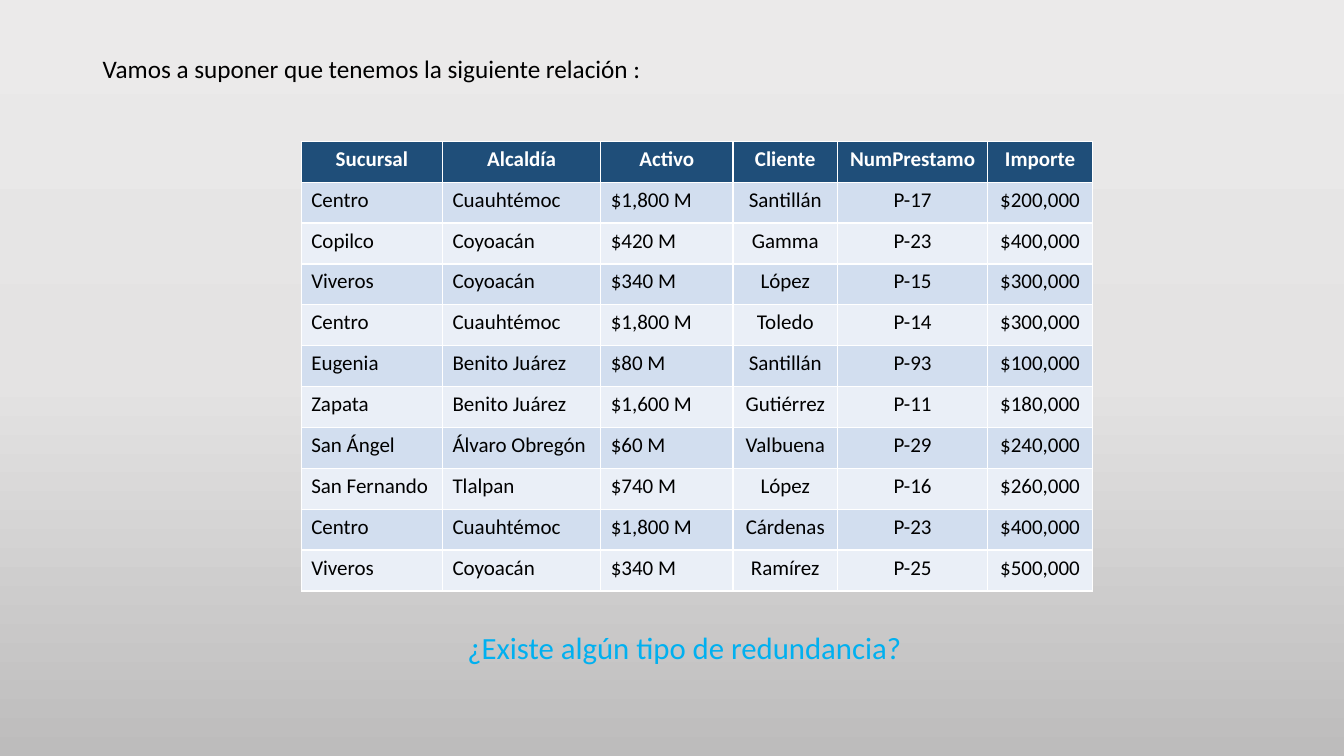
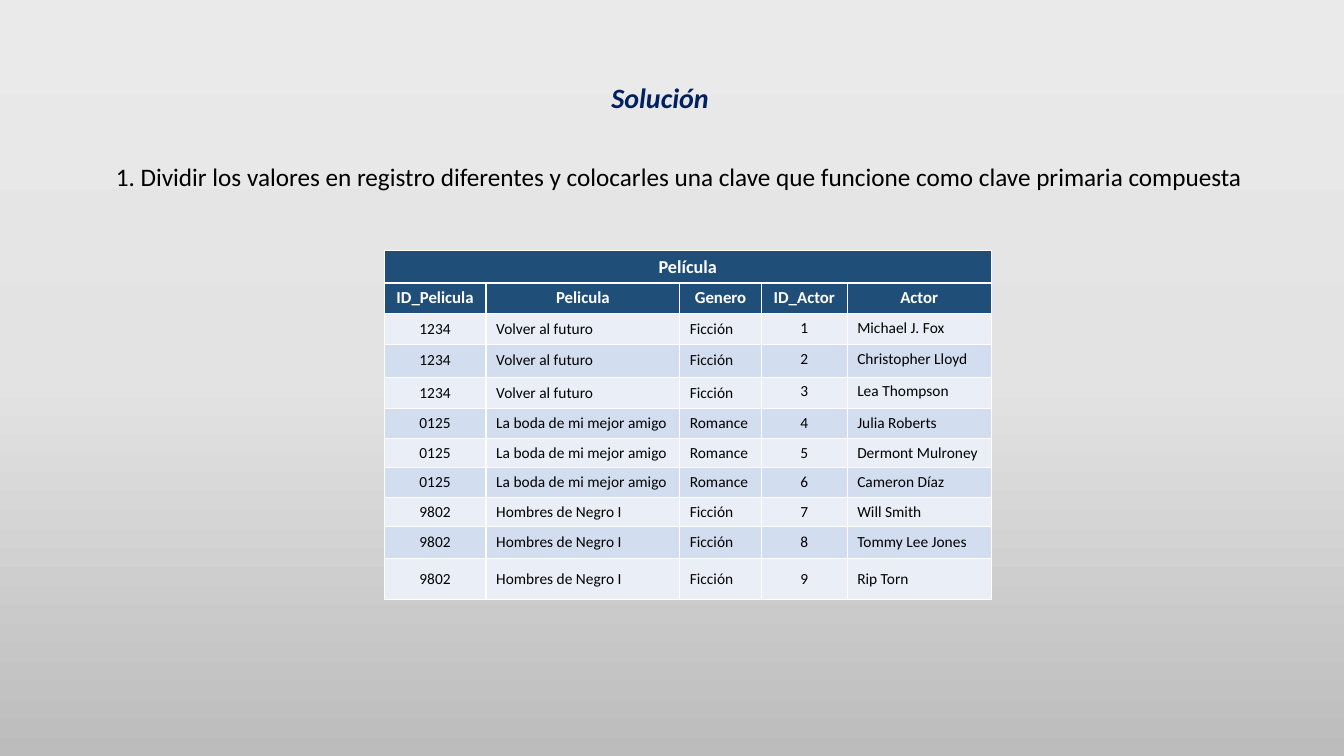
"""Build two slides on redundancy in relational tables."""
from copy import deepcopy

from pptx import Presentation
from pptx.dml.color import RGBColor
from pptx.enum import text as t
from pptx.util import Cm, Pt

FONT = "Calibri"
HEX = {"head": "1F4E79", "dark": "D2DEEF", "light": "EAEFF7", "white": "FFFFFF",
       "black": "000000", "navy": "002060", "sky": "00B0F0"}
GREYS = [(0, "EBEAEA"), (0.5, "E4E3E3"), (1, "BDBCBC")]
LEFT, MID = t.PP_ALIGN.LEFT, t.PP_ALIGN.CENTER
TOP, HALF = t.MSO_ANCHOR.TOP, t.MSO_ANCHOR.MIDDLE

INTRO = "Vamos a suponer que tenemos la siguiente relación :"
ASK = "¿Existe algún tipo de redundancia?"
TITLE = "Solución"
STEP = ("1. Dividir los valores en registro diferentes y colocarles una clave "
        "que funcione como clave primaria compuesta")

LOANS = {
    "at": (7.59, 3.56), "cols": [3.56, 3.99, 3.33, 2.64, 3.78, 2.64],
    "rows": [1.03] * 11, "sizes": [15] * 11, "heads": 1,
    "aligns": [LEFT, LEFT, LEFT, MID, MID, MID],
    "data": [
        ("Sucursal", "Alcaldía", "Activo", "Cliente", "NumPrestamo", "Importe"),
        ("Centro", "Cuauhtémoc", "$1,800 M", "Santillán", "P-17", "$200,000"),
        ("Copilco", "Coyoacán", "$420 M", "Gamma", "P-23", "$400,000"),
        ("Viveros", "Coyoacán", "$340 M", "López", "P-15", "$300,000"),
        ("Centro", "Cuauhtémoc", "$1,800 M", "Toledo", "P-14", "$300,000"),
        ("Eugenia", "Benito Juárez", "$80 M", "Santillán", "P-93", "$100,000"),
        ("Zapata", "Benito Juárez", "$1,600 M", "Gutiérrez", "P-11", "$180,000"),
        ("San Ángel", "Álvaro Obregón", "$60 M", "Valbuena", "P-29", "$240,000"),
        ("San Fernando", "Tlalpan", "$740 M", "López", "P-16", "$260,000"),
        ("Centro", "Cuauhtémoc", "$1,800 M", "Cárdenas", "P-23", "$400,000"),
        ("Viveros", "Coyoacán", "$340 M", "Ramírez", "P-25", "$500,000"),
    ],
}

FILMS = [
    ("1234", "Volver al futuro", "Ficción",
     ["Michael J. Fox", "Christopher Lloyd", "Lea Thompson"]),
    ("0125", "La boda de mi mejor amigo", "Romance",
     ["Julia Roberts", "Dermont Mulroney", "Cameron Díaz"]),
    ("9802", "Hombres de Negro I", "Ficción",
     ["Will Smith", "Tommy Lee Jones", "Rip Torn"]),
]
CAST = [(key, film, kind, name) for key, film, kind, names in FILMS for name in names]
ROLES = {
    "at": (9.68, 6.32), "cols": [2.57, 4.88, 2.06, 2.16, 3.63],
    "rows": [0.81, 0.76, 0.78, 0.83, 0.8, 0.74, 0.74, 0.75, 0.74, 0.8, 1.04],
    "sizes": [13, 12] + [11] * 9, "heads": 2,
    "aligns": [MID, LEFT, LEFT, MID, LEFT],
    "anchors": {(r, c): HALF for r in range(2, 11) for c in range(5) if c < 3 or r > 4},
    "data": [("Película",), ("ID_Pelicula", "Pelicula", "Genero", "ID_Actor", "Actor")]
    + [(key, film, kind, str(n), name)
       for n, (key, film, kind, name) in enumerate(CAST, 1)],
}


def shade(name):
    return RGBColor.from_string(HEX[name])


def write(frame, words, size, color, align=LEFT, **style):
    frame.text = words
    para = frame.paragraphs[0]
    para.alignment = align
    font = para.runs[0].font
    font.color.rgb = shade(color)
    for key, val in {"name": FONT, "size": Pt(size), **style}.items():
        setattr(font, key, val)
    return para


def place(shape, box):
    for key, val in zip(("left", "top", "width", "height"), box):
        setattr(shape, key, Cm(val))


def add_text(slide, box, words, size, color, wrap=True):
    frame = slide.shapes.add_textbox(*map(Cm, box)).text_frame
    frame.word_wrap = wrap
    return write(frame, words, size, color)


def add_grid(slide, plan):
    cols, rows = plan["cols"], plan["rows"]
    box = (*plan["at"], sum(cols), sum(rows))
    grid = slide.shapes.add_table(len(rows), len(cols), *map(Cm, box)).table
    for part, size in zip(grid.columns, cols):
        part.width = Cm(size)
    for part, size in zip(grid.rows, rows):
        part.height = Cm(size)
    for r, line in enumerate(plan["data"]):
        head = r < plan["heads"]
        if len(line) == 1:
            grid.cell(r, 0).merge(grid.cell(r, len(cols) - 1))
        for c, words in enumerate(line):
            cell = grid.cell(r, c)
            cell.fill.solid()
            cell.fill.fore_color.rgb = shade("head" if head else "dark" if r % 2 else "light")
            cell.vertical_anchor = plan.get("anchors", {}).get((r, c), TOP)
            write(cell.text_frame, words, plan["sizes"][r], "white" if head else "black",
                  MID if head else plan["aligns"][c], bold=head)


def paint(master):
    fill = master.background.fill
    fill.gradient()
    fill.gradient_angle = 270
    stop = master.element.xpath(".//p:bg//a:gs")[0]
    stop.addnext(deepcopy(stop))
    for part, (spot, tone) in zip(fill.gradient_stops, GREYS):
        part.position = spot
        part.color.rgb = RGBColor.from_string(tone)


def main():
    deck = Presentation()
    deck.slide_width, deck.slide_height = Cm(33.87), Cm(19.05)
    paint(deck.slide_master)

    slide = deck.slides.add_slide(deck.slide_layouts[6])
    add_text(slide, (2.34, 1.3, 29.21, 1.63), INTRO, 18, "black").line_spacing = 0.9
    add_grid(slide, LOANS)
    add_text(slide, (11.53, 15.72, 12.62, 1.2), ASK, 22, "sky")

    slide = deck.slides.add_slide(deck.slide_layouts[5])
    title = slide.shapes.title
    place(title, (2.03, 1.37, 29.21, 2.29))
    title.text_frame.vertical_anchor = HALF
    write(title.text_frame, TITLE, 20, "navy", MID, bold=True, italic=True).line_spacing = 0.9
    add_text(slide, (2.67, 3.94, 29.18, 1.02), STEP, 18, "black", wrap=False)
    add_grid(slide, ROLES)

    deck.save("out.pptx")


if __name__ == "__main__":
    main()
